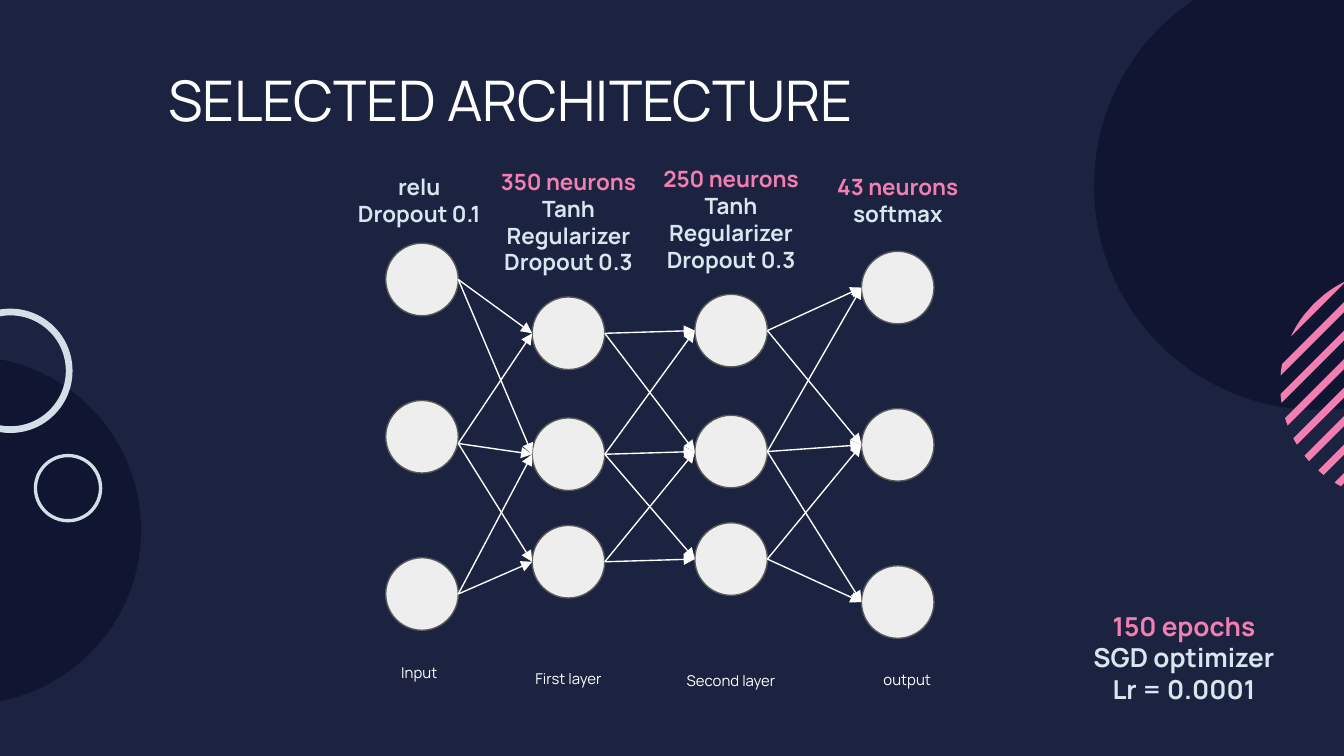
from dataclasses import dataclass
from itertools import pairwise, product
from math import acos, cos, pi, sin, sqrt

from lxml.etree import SubElement
from pptx import Presentation
from pptx.dml.color import RGBColor as Rgb
from pptx.enum.shapes import MSO_CONNECTOR as Link, MSO_SHAPE as Kind
from pptx.enum.text import MSO_ANCHOR as Anchor, MSO_AUTO_SIZE as Fit, PP_ALIGN as Align
from pptx.oxml.ns import qn
from pptx.util import Inches, Pt

CELL = Inches(0.1)
COLS, ROWS = 100, 56.25
FONT = "Manrope"
NODE = 5.4
LABEL = 13.2
HUES = {
    "night": "1C2340", "deep": "101632", "pink": "F27EB2", "ring": "D2DFE9",
    "pale": "D7E7EF", "white": "FFFFFF", "node": "EEEEEE", "edge": "595959",
}


@dataclass(frozen=True)
class Disc:
    x: float
    y: float
    size: float
    hue: str
    rim: float = 0


@dataclass(frozen=True)
class Note:
    x: float
    y: float
    wide: float
    high: float
    size: int
    lines: tuple[tuple[str, str], ...]
    bold: bool = True


@dataclass(frozen=True)
class Layer:
    x: float
    top: float
    steps: tuple[float, ...]
    name: Note
    head: Note
    dip: float = 0

    def ports(self) -> list[float]:
        return [self.top + step + NODE / 2 for step in self.steps]


def caption(x: float, y: float, text: str) -> Note:
    return Note(x, y, LABEL, 4.1, 8, ((text, "white"),), False)


def header(x: float, y: float, *lines: tuple[str, str]) -> Note:
    return Note(x, y, LABEL, 5.4, 12, lines)


def hidden(units: int) -> tuple[tuple[str, str], ...]:
    return ((f"{units} neurons", "pink"), ("Tanh", "pale"),
            ("Regularizer", "pale"), ("Dropout 0.3", "pale"))


OUTER, INNER = (0, 11.7, 23.4), (0, 9, 17)
LAYERS = (
    Layer(28.7, 18.1, OUTER, caption(24.6, 48.4, "Input"),
          header(24.6, 11.9, ("relu", "pale"), ("Dropout 0.1", "pale")), 0.5),
    Layer(39.6, 22.1, INNER, caption(35.7, 48.8, "First layer"),
          header(35.7, 11.5, *hidden(350))),
    Layer(51.7, 21.9, INNER, caption(47.8, 49, "Second layer"),
          header(47.8, 11.3, *hidden(250))),
    Layer(64.1, 18.7, OUTER, caption(60.9, 48.9, "output"),
          header(60.2, 11.9, ("43 neurons", "pink"), ("softmax", "pale"))),
)
DISCS = (
    Disc(81.4, -2.8, 33.3, "deep"),
    Disc(-15.4, 26.5, 25.9, "deep"),
    Disc(-3.85, 22.97, 9.25, "ring", 0.5),
    Disc(2.51, 33.77, 5.1, "ring", 0.25),
)
TRAIN = Note(79.1, 44.4, 18, 7.8, 14, (
    ("150 epochs", "pink"), ("SGD optimizer", "pale"), ("Lr = 0.0001", "pale")))


def tint(name: str) -> Rgb:
    return Rgb.from_string(HUES[name])


def cells(*spans: float) -> list[int]:
    return [round(span * CELL) for span in spans]


def paint(shape, hue: str) -> None:
    shape.shadow.inherit = False
    shape.fill.solid()
    shape.fill.fore_color.rgb = tint(hue)
    shape.line.fill.background()


def draw_disc(slide, disc: Disc):
    kind = Kind.DONUT if disc.rim else Kind.OVAL
    shape = slide.shapes.add_shape(kind, *cells(disc.x, disc.y, disc.size, disc.size))
    if disc.rim:
        shape.adjustments[0] = disc.rim / disc.size
    paint(shape, disc.hue)
    return shape


def draw_bands(slide, x: float, y: float, reach: float) -> None:
    def rim(gap: float, side: int) -> tuple[float, float]:
        turn = 5 * pi / 4 + side * acos(max(-1, min(1, -gap / reach)))
        return x + reach * cos(turn), y + reach * sin(turn)

    wide, step = 0.52, 1.5
    for band in range(8):
        low = -reach + band * step
        gaps = [low + wide * part / 8 for part in range(9)]
        dots = [rim(gap, 1) for gap in gaps] + [rim(gap, -1) for gap in reversed(gaps)]
        spots = [cells(*dot) for dot in dots]
        pen = slide.shapes.build_freeform(*spots[0])
        pen.add_line_segments(spots[1:], close=True)
        paint(pen.convert_to_shape(), "pink")


def draw_nodes(slide, layer: Layer) -> None:
    for step in layer.steps:
        node = draw_disc(slide, Disc(layer.x, layer.top + step, NODE, "node"))
        node.line.color.rgb = tint("edge")
        node.line.width = Pt(0.75)


def draw_arrow(slide, *ends: float) -> None:
    arrow = slide.shapes.add_connector(Link.STRAIGHT, *cells(*ends))
    arrow.line.color.rgb = tint("white")
    arrow.line.width = Pt(0.75)
    SubElement(arrow.line._get_or_add_ln(), qn("a:tailEnd"), type="triangle")
    SubElement(arrow._element.spPr, qn("a:effectLst"))


def join_layers(slide, left: Layer, right: Layer) -> None:
    pairs = product(enumerate(left.ports()), enumerate(right.ports()))
    for (i, start), (j, end) in pairs:
        if abs(i - j) <= 1:
            dip = left.dip if i == 1 else 0
            draw_arrow(slide, left.x + NODE, start + dip, right.x, end)


def set_frame(frame) -> None:
    frame.word_wrap = True
    frame.auto_size = Fit.NONE
    frame.vertical_anchor = Anchor.TOP
    frame.margin_left = frame.margin_right = CELL
    frame.margin_top = frame.margin_bottom = CELL


def set_text(para, text: str, hue: str, size: int, bold: bool, align: Align) -> None:
    para.text = text
    para.alignment = align
    font = para.font
    font.name, font.size, font.bold = FONT, Pt(size), bold
    font.color.rgb = tint(hue)


def draw_note(slide, note: Note) -> None:
    box = slide.shapes.add_textbox(*cells(note.x, note.y, note.wide, note.high))
    frame = box.text_frame
    set_frame(frame)
    for row, (text, hue) in enumerate(note.lines):
        para = frame.add_paragraph() if row else frame.paragraphs[0]
        set_text(para, text, hue, note.size, note.bold, Align.CENTER)


def set_title(slide, text: str) -> None:
    title = slide.shapes.title
    title.left, title.top, title.width, title.height = cells(11.5, 3.9, 61.5, 8.6)
    set_frame(title.text_frame)
    set_text(title.text_frame.paragraphs[0], text, "white", 30, False, Align.LEFT)


def main() -> None:
    deck = Presentation()
    deck.slide_width, deck.slide_height = cells(COLS, ROWS)
    slide = deck.slides.add_slide(deck.slide_layouts[5])
    slide.background.fill.solid()
    slide.background.fill.fore_color.rgb = tint("night")
    set_title(slide, "SELECTED ARCHITECTURE")
    for disc in DISCS:
        draw_disc(slide, disc)
    draw_bands(slide, 103.8, 28.65, sqrt(73))
    for layer in LAYERS:
        draw_nodes(slide, layer)
    for left, right in pairwise(LAYERS):
        join_layers(slide, left, right)
    for layer in LAYERS:
        draw_note(slide, layer.name)
        draw_note(slide, layer.head)
    draw_note(slide, TRAIN)
    deck.save("out.pptx")


if __name__ == "__main__":
    main()
